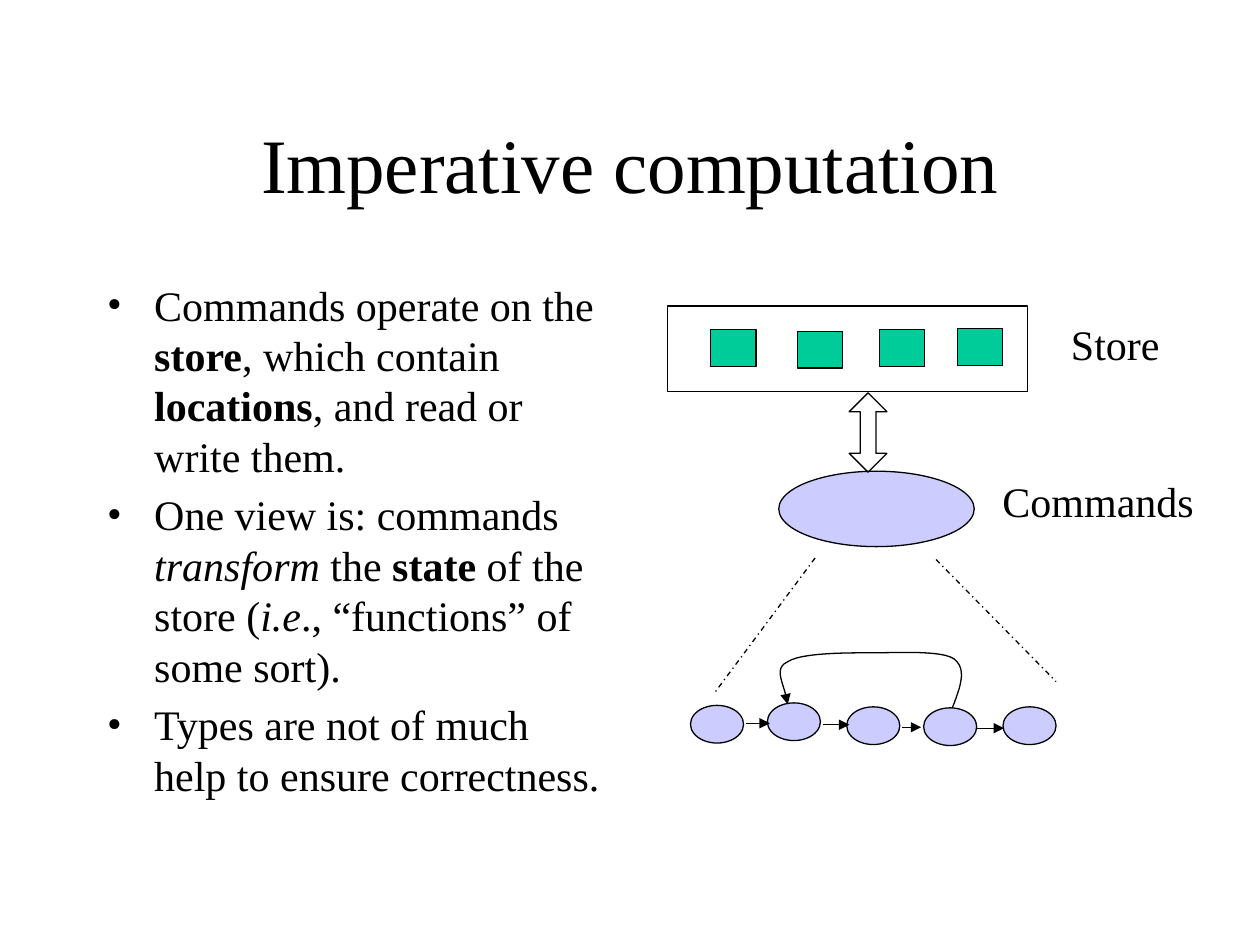
from lxml import etree
from pptx import Presentation
from pptx.dml.color import RGBColor
from pptx.enum.dml import MSO_LINE
from pptx.enum.shapes import MSO_CONNECTOR, MSO_SHAPE
from pptx.enum.text import MSO_ANCHOR, PP_ALIGN
from pptx.oxml.ns import qn
from pptx.util import Cm, Pt

RECTANGLE, OVAL, TWO_WAY = MSO_SHAPE.RECTANGLE, MSO_SHAPE.OVAL, MSO_SHAPE.UP_DOWN_ARROW
STRAIGHT, DASH_DOT = MSO_CONNECTOR.STRAIGHT, MSO_LINE.DASH_DOT
TOP, MIDDLE = MSO_ANCHOR.TOP, MSO_ANCHOR.MIDDLE
LEFT, CENTER = PP_ALIGN.LEFT, PP_ALIGN.CENTER
FONT = "Times New Roman"
COLORS = {"ink": "000000", "location": "00CC99", "command": "CCCCFF"}

BULLETS = [
    [("Commands operate on the ", ""), ("store", "b"), (", which contain ", ""),
     ("locations", "b"), (", and read or write them.", "")],
    [("One view is: commands ", ""), ("transform", "i"), (" the ", ""), ("state", "b"),
     (" of the store (", ""), ("i.e", "i"), ("., “functions” of some sort).", "")],
    [("Types are not of much help to ensure correctness.", "")],
]
LOCATIONS = [(14.33, 6.65), (16.08, 6.68), (17.73, 6.65), (19.3, 6.63)]
STATES = [(13.92, 14.22), (15.47, 14.17), (17.07, 14.25), (18.62, 14.27), (20.22, 14.25)]
STEPS = [(15.04, 15.52, 14.58), (16.59, 17.12, 14.61), (18.19, 18.57, 14.66), (19.69, 20.24, 14.68)]
ZOOM_LINES = [(16.43, 11.25, 14.38, 14), (18.87, 11.28, 21.29, 13.74)]
LOOP_START = (19.2, 14.27)
LOOP_CURVES = [
    [(19.35, 13.87), (19.51, 13.49), (19.23, 13.28)],
    [(18.97, 13.11), (18.16, 13.16), (17.6, 13.16)],
    [(17.04, 13.16), (16.15, 13.16), (15.88, 13.34)],
    [(15.57, 13.49), (15.82, 13.77), (15.88, 14.2)],
]


def color(name):
    """Return the named colour."""
    return RGBColor.from_string(COLORS[name])


def add_text(page, place, paragraphs, size=24, align=LEFT, anchor=TOP, bullet=False):
    """Add a text box whose paragraphs are lists of (text, style) runs."""
    box = page.shapes.add_textbox(*map(Cm, place))
    frame = box.text_frame
    frame.word_wrap, frame.vertical_anchor = True, anchor
    for index, runs in enumerate(paragraphs):
        para = frame.paragraphs[0] if index == 0 else frame.add_paragraph()
        para.alignment = align
        if bullet:
            add_bullet(para)
        for text, style in runs:
            span = para.add_run()
            span.text = text
            span.font.name, span.font.size = FONT, Pt(size)
            span.font.bold, span.font.italic = style == "b", style == "i"
            span.font.color.rgb = color("ink")


def add_bullet(para):
    """Give a paragraph a hanging bullet and space above."""
    para.space_before = Pt(4.8)
    props = para._p.get_or_add_pPr()
    props.set("marL", str(Cm(0.95)))
    props.set("indent", str(Cm(-0.95)))
    etree.SubElement(props, qn("a:buFont")).set("typeface", FONT)
    etree.SubElement(props, qn("a:buChar")).set("char", "•")


def style_line(line, arrow=False):
    """Draw a thin black line, with an arrowhead at its end if asked."""
    line.color.rgb = color("ink")
    line.width = Pt(0.75)
    if arrow:
        etree.SubElement(line._get_or_add_ln(), qn("a:tailEnd")).set("type", "triangle")


def add_figure(page, kind, place, fill=None):
    """Add an outlined preset shape."""
    shape = page.shapes.add_shape(kind, *map(Cm, place))
    shape.shadow.inherit = False
    if fill:
        shape.fill.solid()
        shape.fill.fore_color.rgb = color(fill)
    else:
        shape.fill.background()
    style_line(shape.line)
    return shape


def add_line(page, ends, dash=None, arrow=False):
    """Add a straight line between two points."""
    line = page.shapes.add_connector(STRAIGHT, *map(Cm, ends))
    if dash:
        line.line.dash_style = dash
    style_line(line.line, arrow)
    etree.SubElement(line._element.spPr, qn("a:effectLst"))


def curve_points(start, curves, steps=12):
    """Return points along a chain of cubic curves."""
    points = [start]
    for first, second, end in curves:
        corners = list(zip(points[-1], first, second, end))
        for step in range(1, steps + 1):
            t = step / steps
            weights = ((1 - t) ** 3, 3 * t * (1 - t) ** 2, 3 * t * t * (1 - t), t ** 3)
            points.append(tuple(sum(w * c for w, c in zip(weights, axis)) for axis in corners))
    return points


def add_loop(page):
    """Add the curved arrow leading back to an earlier state."""
    points = [(Cm(x), Cm(y)) for x, y in curve_points(LOOP_START, LOOP_CURVES)]
    builder = page.shapes.build_freeform(*points[0])
    builder.add_line_segments(points[1:], close=False)
    loop = builder.convert_to_shape()
    loop.shadow.inherit = False
    loop.fill.background()
    style_line(loop.line, arrow=True)


def main():
    """Build the slide and save it."""
    deck = Presentation()
    deck.slide_width, deck.slide_height = Cm(25.4), Cm(19.05)
    page = deck.slides.add_slide(deck.slide_layouts[6])
    add_text(page, (1.91, 1.69, 21.59, 3.18), [[("Imperative computation", "")]], 44, CENTER, MIDDLE)
    add_text(page, (1.91, 5.5, 10.58, 11.43), BULLETS, bullet=True)
    for x, y in LOCATIONS:
        add_figure(page, RECTANGLE, (x, y, 0.91, 0.74), "location")
    add_figure(page, RECTANGLE, (13.46, 6.17, 7.26, 1.73))
    add_text(page, (21.34, 6.3, 3.05, 1.27), [[("Store", "")]])
    add_figure(page, OVAL, (15.7, 9.5, 3.94, 1.52), "command")
    access = add_figure(page, TWO_WAY, (17.12, 7.92, 0.76, 1.6))
    access.adjustments[0], access.adjustments[1] = 0.5, 0.417
    add_text(page, (19.96, 9.47, 4.52, 1.27), [[("Commands", "")]])
    for ends in ZOOM_LINES:
        add_line(page, ends, dash=DASH_DOT)
    for x, y in STATES:
        add_figure(page, OVAL, (x, y, 1.07, 0.76), "command")
    for start, end, y in STEPS:
        add_line(page, (start, y, end, y), arrow=True)
    add_loop(page)
    deck.save("out.pptx")


if __name__ == "__main__":
    main()
